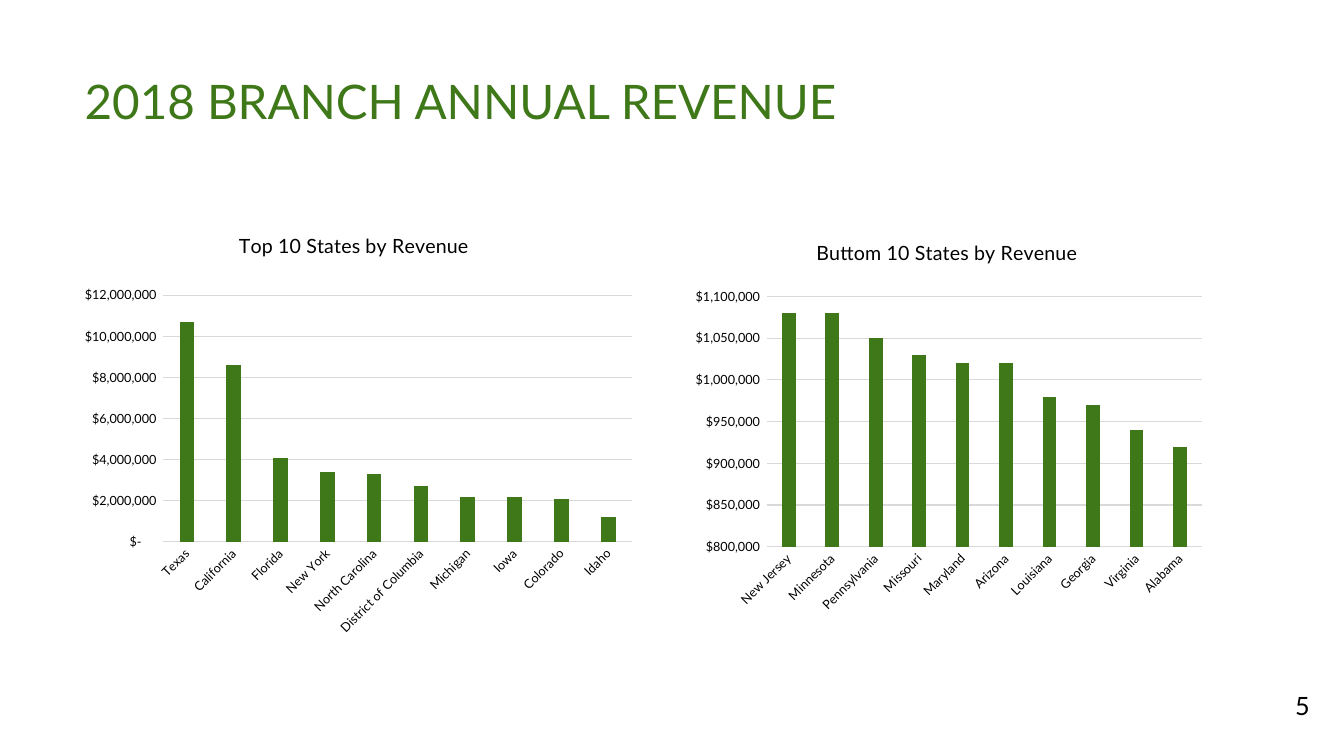
from lxml import etree
from pptx import Presentation
from pptx import util as u
from pptx.chart import data as cd
from pptx.dml import color as col
from pptx.enum import chart as ch, text as tx
from pptx.oxml import ns

HUES = {"green": "3F7819", "grid": "D9D9D9", "ink": "000000"}
FACE = "Lato"
MONEY = r'_("$"* #,##0_);_("$"* \(#,##0\);_("$"* "-"??_);_(@_)'

TOP = [("Texas", 10700000), ("California", 8600000), ("Florida", 4100000),
       ("New York", 3400000), ("North Carolina", 3300000),
       ("District of Columbia", 2700000), ("Michigan", 2200000),
       ("Iowa", 2200000), ("Colorado", 2100000), ("Idaho", 1200000)]
LOW = [("New Jersey", 1080000), ("Minnesota", 1080000),
       ("Pennsylvania", 1050000), ("Missouri", 1030000),
       ("Maryland", 1020000), ("Arizona", 1020000), ("Louisiana", 980000),
       ("Georgia", 970000), ("Virginia", 940000), ("Alabama", 920000)]


def rgb(hue):
    return col.RGBColor.from_string(HUES[hue])


def style(font, size, hue="ink"):
    font.name, font.size, font.bold = FACE, u.Pt(size), False
    font.color.rgb = rgb(hue)


def write(frame, words, size, hue, align, anchor):
    frame.word_wrap = True
    frame.auto_size = tx.MSO_AUTO_SIZE.NONE
    frame.vertical_anchor = anchor
    para = frame.paragraphs[0]
    para.alignment = align
    run = para.add_run()
    run.text = words
    style(run.font, size, hue)


def add_title(slide, box, words):
    title = slide.shapes.title
    title.left, title.top, title.width, title.height = map(u.Cm, box)
    write(title.text_frame, words, 34, "green",
          tx.PP_ALIGN.LEFT, tx.MSO_ANCHOR.TOP)


def add_number(slide, box, words):
    label = slide.shapes.add_textbox(*map(u.Cm, box))
    write(label.text_frame, words, 18, "ink",
          tx.PP_ALIGN.RIGHT, tx.MSO_ANCHOR.MIDDLE)


def place_plot(chart, box, area):
    """Fix the inner plot area, given in cm from the box's corner."""
    plot = chart.element.find(".//" + ns.qn("c:plotArea"))
    for old in plot.findall(ns.qn("c:layout")):
        plot.remove(old)
    layout = etree.Element(ns.qn("c:layout"))
    manual = etree.SubElement(layout, ns.qn("c:manualLayout"))
    parts = [("layoutTarget", "inner"), ("xMode", "edge"), ("yMode", "edge")]
    shares = [part / whole for part, whole in zip(area, box[2:] * 2)]
    for tag, val in parts + list(zip("xywh", shares)):
        etree.SubElement(manual, ns.qn("c:" + tag)).set("val", str(val))
    plot.insert(0, layout)


def add_bars(slide, box, head, rows, area, scale):
    data = cd.CategoryChartData(number_format=MONEY)
    data.categories = [state for state, _ in rows]
    data.add_series("Series 1", [value for _, value in rows])
    chart = slide.shapes.add_chart(
        ch.XL_CHART_TYPE.COLUMN_CLUSTERED, *map(u.Cm, box), data).chart
    style(chart.font, 10)
    chart.has_legend = False

    # Heading
    chart.has_title = True
    run = chart.chart_title.text_frame.paragraphs[0].add_run()
    run.text = head
    style(run.font, 14)
    chart.chart_title.include_in_layout = False

    # Columns
    plot = chart.plots[0]
    plot.gap_width, plot.overlap = 219, -27
    plot.vary_by_categories = False
    fill = plot.series[0].format.fill
    fill.solid()
    fill.fore_color.rgb = rgb("green")

    # Axes
    states, money = chart.category_axis, chart.value_axis
    for axis in (states, money):
        axis.major_tick_mark = axis.minor_tick_mark = ch.XL_TICK_MARK.NONE
        style(axis.tick_labels.font, 9)
    money.has_major_gridlines = True
    for line in (states.format.line, money.major_gridlines.format.line):
        line.color.rgb = rgb("grid")
        line.width = u.Pt(0.75)
    money.format.line.fill.background()
    money.minimum_scale, money.maximum_scale, money.major_unit = scale
    money.tick_labels.number_format = MONEY
    money.tick_labels.number_format_is_linked = False
    turn = states.tick_labels.font._element.getparent().getparent().getparent()
    turn.find(ns.qn("a:bodyPr")).set("rot", "-2700000")
    place_plot(chart, box, area)


def main():
    deck = Presentation()
    deck.slide_width, deck.slide_height = u.Cm(33.87), u.Cm(19.05)
    slide = deck.slides.add_slide(deck.slide_layouts[5])
    add_title(slide, (1.88, 1.68, 30.07, 3.66), "2018 BRANCH ANNUAL REVENUE")
    add_bars(slide, (1.45, 5.36, 14.94, 11.48), "Top 10 States by Revenue",
             TOP, (2.67, 2.08, 11.8, 6.22), (0, 12000000, 2000000))
    add_bars(slide, (17.06, 5.56, 13.61, 11.3), "Buttom 10 States by Revenue",
             LOW, (2.27, 1.91, 10.96, 6.31), (800000, 1100000, 50000))
    add_number(slide, (31.36, 17.27, 1.9, 1.02), "5")
    deck.save("out.pptx")


if __name__ == "__main__":
    main()
